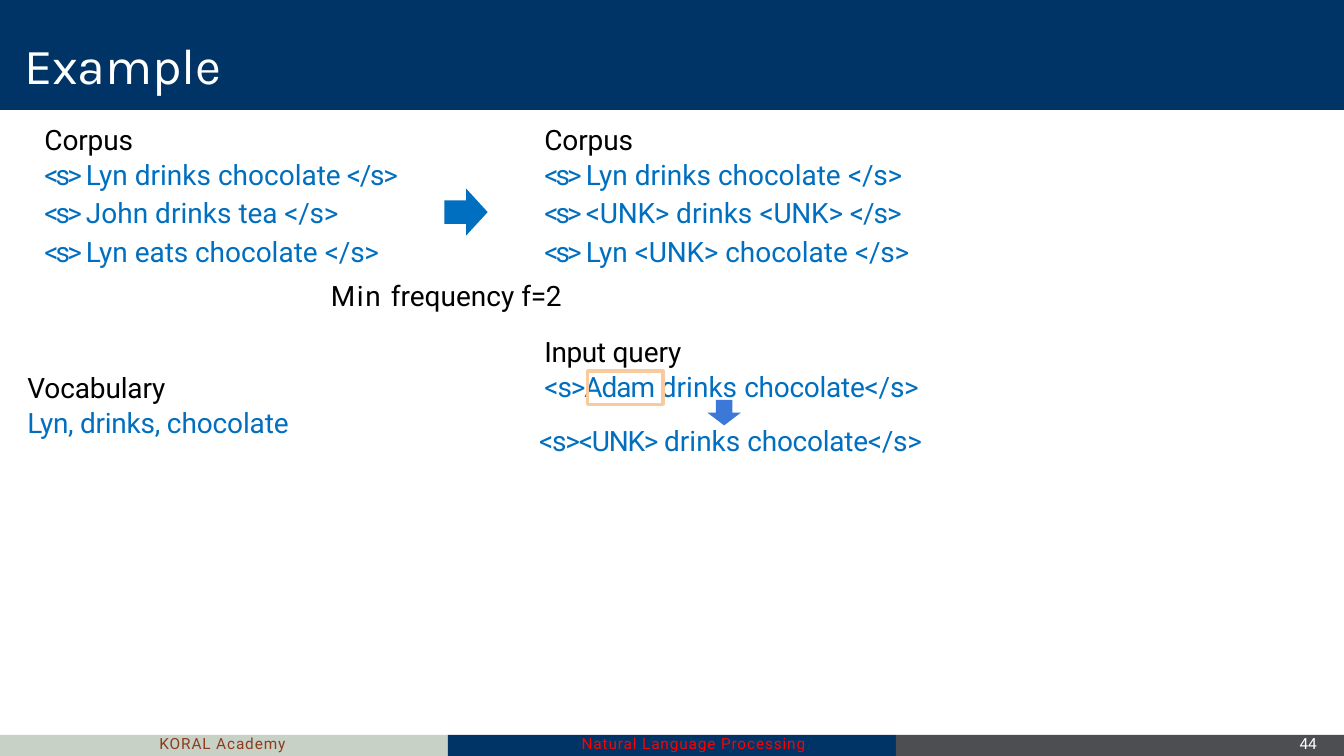
from pptx import Presentation
from pptx.dml.color import RGBColor
from pptx.enum.shapes import MSO_SHAPE
from pptx.enum.text import MSO_ANCHOR, MSO_AUTO_SIZE, PP_ALIGN
from pptx.util import Cm, Pt

RECT = MSO_SHAPE.RECTANGLE
RIGHT_ARROW, DOWN_ARROW = MSO_SHAPE.RIGHT_ARROW, MSO_SHAPE.DOWN_ARROW
TOP, LEFT, NO_FIT = MSO_ANCHOR.TOP, PP_ALIGN.LEFT, MSO_AUTO_SIZE.NONE

NAVY = RGBColor(0x00, 0x33, 0x66)
BLUE = RGBColor(0x00, 0x6F, 0xC0)
ARROW_BLUE = RGBColor(0x3B, 0x78, 0xD7)
SAGE = RGBColor(0xC7, 0xD1, 0xC5)
GREY = RGBColor(0x4C, 0x4E, 0x52)
PEACH = RGBColor(0xF8, 0xCA, 0x9C)
BROWN = RGBColor(0x8D, 0x3C, 0x1E)
RED = RGBColor(0xFF, 0x00, 0x00)
WHITE = RGBColor(0xFF, 0xFF, 0xFF)
BLACK = RGBColor(0x00, 0x00, 0x00)

SLIDE_W, SLIDE_H = 33.87, 19.05
START = ("<s> ", -2.1)
END = ("</s>", -0.2)


def add_block(s, kind, x, y, w, h, fill=None, line=None):
    sp = s.shapes.add_shape(kind, Cm(x), Cm(y), Cm(w), Cm(h))
    sp.shadow.inherit = False
    if fill is None:
        sp.fill.background()
    else:
        sp.fill.solid()
        sp.fill.fore_color.rgb = fill
    if line is None:
        sp.line.fill.background()
    else:
        sp.line.color.rgb = line
        sp.line.width = Pt(2.25)
    return sp


def prepare_frame(tf, top=0.0):
    tf.word_wrap = True
    tf.auto_size = NO_FIT
    tf.vertical_anchor = TOP
    tf.margin_left = tf.margin_right = tf.margin_bottom = 0
    tf.margin_top = Cm(top)


def fill_paragraph(p, runs, size, colour, font="Roboto", before=0, indent=0.03):
    """Write (text, letter spacing in points) runs into one paragraph."""
    p.alignment = LEFT
    p.space_before = Pt(before)
    p.font.name, p.font.size, p.font.color.rgb = font, Pt(size), colour
    pPr = p._p.get_or_add_pPr()
    pPr.set("marL", str(Cm(indent)))
    pPr.set("indent", "0")
    for text, spacing in runs:
        r = p.add_run()
        r.text = text
        r.font._element.set("spc", str(round(spacing * 100)))


def add_text(s, x, y, w, h, paragraphs):
    """Each paragraph is (space before, colour, runs[, indent])."""
    tf = s.shapes.add_textbox(Cm(x), Cm(y), Cm(w), Cm(h)).text_frame
    prepare_frame(tf, 0.03)
    for i, (before, colour, runs, *indent) in enumerate(paragraphs):
        p = tf.add_paragraph() if i else tf.paragraphs[0]
        fill_paragraph(p, runs, 20, colour, "Roboto", before, *indent)


def add_header(s, x, y, w, h):
    band = add_block(s, RECT, x, y, w, h, NAVY)
    title = s.shapes.title
    title._element.addprevious(band._element)
    title.left, title.top = Cm(x + 0.23), Cm(y + 0.38)
    title.width, title.height = Cm(28.98), Cm(1.85)
    tf = title.text_frame
    prepare_frame(tf, 0.48)
    fill_paragraph(tf.paragraphs[0], [("Example", -0.1)], 36, WHITE, "Karla", 0.9, 0.38)


def add_footer(s, x, y, w, h):
    cells = [
        ("KORAL Academy", SAGE, BROWN, 3.99, 0.25, 6.07, 0.6),
        ("Natural Language Processing", NAVY, RED, 3.34, 0.23, 6.07, 0.6),
        ("44", GREY, WHITE, 10.14, 0.23, 1.12, 0),
    ]
    cell_w = w / len(cells)
    for i, (text, fill, colour, dx, dy, text_w, spacing) in enumerate(cells):
        left = x + i * cell_w
        add_block(s, RECT, left, y, cell_w, h, fill)
        tf = s.shapes.add_textbox(Cm(left + dx), Cm(y + dy), Cm(text_w), Cm(0.25)).text_frame
        prepare_frame(tf)
        p = tf.paragraphs[0]
        fill_paragraph(p, [(text, spacing)], 11, colour)
        p.line_spacing = Pt(5.8)


def add_corpus(s, x, y, w, h, sentences):
    paragraphs = [(1.1, BLACK, [("Corpus", -0.1)])]
    for i, runs in enumerate(sentences):
        paragraphs.append((3.6 if i else 0.9, BLUE, [START, *runs]))
    add_text(s, x, y, w, h, paragraphs)


def add_vocabulary(s, x, y, w, h):
    words = [("Lyn, ", -0.3), ("drinks, ", -0.2), ("chocolate", -0.1)]
    add_text(s, x, y, w, h, [(1, BLACK, [("Vocabulary", -0.1)]), (1, BLUE, words)])


def add_query(s, x, y, w, h):
    """Frequency rule, then the input query and its rewritten form."""
    rule = [("Min ", 1.1), ("frequency ", 0), ("f=2", -0.2)]
    heading = [("Input ", -0.3), ("query", -0.1)]
    add_text(s, x, y, 9.07, 2.34, [(1, BLACK, rule), (16.2, BLACK, heading, 5.41)])
    rest = [("drinks ", 0), ("chocolate</s>", -0.2)]
    add_text(s, x + 5.38, y + 2.28, w - 5.38, 0.91, [(1.1, BLUE, [("<s>Adam ", -0.8), *rest])])
    add_text(s, x + 5.25, y + h - 0.91, w - 5.25, 0.91,
             [(1, BLUE, [("<s><UNK> ", -0.9), *rest])])
    add_block(s, RECT, x + 6.5, y + 2.36, 1.9, 0.84, line=PEACH)
    add_block(s, DOWN_ARROW, x + 9.52, y + 3.09, 0.84, 0.64, ARROW_BLUE)


def main():
    prs = Presentation()
    prs.slide_width, prs.slide_height = Cm(SLIDE_W), Cm(SLIDE_H)
    s = prs.slides.add_slide(prs.slide_layouts[5])
    add_header(s, 0, 0, SLIDE_W, 2.77)
    add_footer(s, 0, 18.52, SLIDE_W, SLIDE_H - 18.52)
    add_corpus(s, 1.09, 3.05, 9.35, 3.76, [
        [("Lyn drinks chocolate", 0), (" </s>", -0.9)],
        [("John drinks ", 0), ("tea ", -0.1), END],
        [("Lyn ", 0), ("eats ", -0.1), ("chocolate ", 0), END],
    ])
    add_block(s, RIGHT_ARROW, 11.2, 4.75, 1.09, 1.19, BLUE)
    unknown = ("<UNK> ", -0.2)
    add_corpus(s, 13.69, 3.05, 9.93, 3.76, [
        [("Lyn drinks chocolate ", 0), END],
        [unknown, ("drinks ", 0), unknown, ("</s>", -0.7)],
        [("Lyn ", 0), unknown, ("chocolate ", 0), END],
    ])
    add_vocabulary(s, 0.66, 9.3, 6.76, 1.8)
    add_query(s, 8.31, 6.99, 15.49, 4.56)
    prs.save("out.pptx")


if __name__ == "__main__":
    main()
